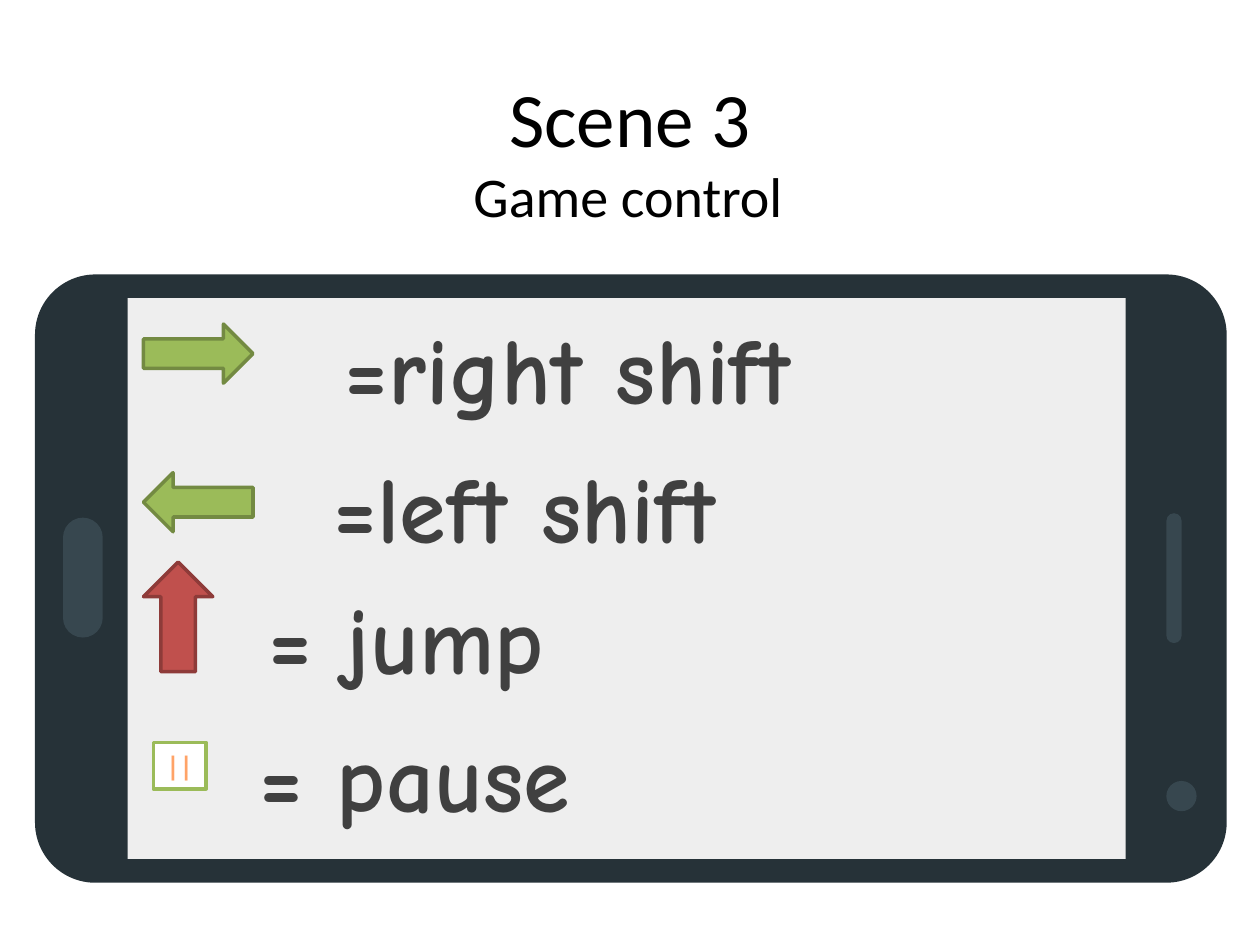
from pptx import Presentation
from pptx.dml.color import RGBColor
from pptx.enum.shapes import MSO_SHAPE
from pptx.enum.text import MSO_ANCHOR, PP_ALIGN
from pptx.util import Pt

RECTANGLE = MSO_SHAPE.RECTANGLE
ROUNDED = MSO_SHAPE.ROUNDED_RECTANGLE
OVAL = MSO_SHAPE.OVAL
RIGHT_ARROW = MSO_SHAPE.RIGHT_ARROW
LEFT_ARROW = MSO_SHAPE.LEFT_ARROW
UP_ARROW = MSO_SHAPE.UP_ARROW
LEFT, CENTER = PP_ALIGN.LEFT, PP_ALIGN.CENTER
TOP, MIDDLE = MSO_ANCHOR.TOP, MSO_ANCHOR.MIDDLE

BODY, BUTTON, SCREEN = "263238", "37474F", "EEEEEE"
GREEN, DARK_GREEN = "9BBB59", "738A42"
RED, DARK_RED = "C0504D", "8E3B39"
WHITE, BLACK, GREY, ORANGE = "FFFFFF", "000000", "404040", "FFA367"


def color(value):
    return RGBColor.from_string(value)


def add_block(shapes, kind, box, fill, line=None, radius=None):
    shape = shapes.add_shape(kind, *map(Pt, box))
    shape.shadow.inherit = False
    shape.fill.solid()
    shape.fill.fore_color.rgb = color(fill)
    if line:
        shape.line.color.rgb = color(line)
        shape.line.width = Pt(2)
    else:
        shape.line.fill.background()
    if radius is not None:
        shape.adjustments[0] = radius / min(box[2:])
    return shape


def write(shape, text, font_name, size, text_color, align=CENTER,
          anchor=TOP, bold=False, wrap=False):
    frame = shape.text_frame
    frame.word_wrap = wrap
    frame.vertical_anchor = anchor
    paragraph = frame.paragraphs[0]
    paragraph.text = text
    paragraph.alignment = align
    font = paragraph.font
    font.name, font.size, font.bold = font_name, Pt(size), bold
    font.color.rgb = color(text_color)


def add_heading(slide, box):
    left, top, width, height = box
    title = slide.shapes.add_textbox(*map(Pt, box))
    write(title, "Scene 3", "Calibri", 44, BLACK, anchor=MIDDLE, wrap=True)
    subtitle = slide.shapes.add_textbox(
        Pt(left + 227.5), Pt(top + 67), Pt(266.4), Pt(45.4))
    write(subtitle, "Game control", "Calibri", 32, BLACK, LEFT, wrap=True)


def add_phone(slide, box):
    """Draw a phone lying on its side, with its screen and buttons."""
    left, top, width, height = box
    shapes = slide.shapes.add_group_shape().shapes
    add_block(shapes, ROUNDED, box, BODY, radius=34.5)
    add_block(shapes, ROUNDED, (left + 16, top + 139, 22.7, 68.5), BUTTON,
              radius=11.35)
    add_block(shapes, OVAL, (left + 646.5, top + 289.5, 17.3, 17.3), BUTTON)
    add_block(shapes, ROUNDED, (left + 646.5, top + 136.5, 8.7, 74.2), BUTTON,
              radius=4.35)
    add_block(shapes, RECTANGLE,
              (left + 53, top + (height - 320.4) / 2, 570.2, 320.4), SCREEN)


def add_controls(slide, box):
    """Place each control's icon and its meaning on the phone screen."""
    left, top, width, height = box
    icons = [
        (UP_ARROW, (9, 150.8, 39.6, 62.6), RED, DARK_RED),
        (RIGHT_ARROW, (9, 14.8, 62.6, 33.8), GREEN, DARK_GREEN),
        (LEFT_ARROW, (9, 99.7, 62.6, 33.8), GREEN, DARK_GREEN),
        (RECTANGLE, (14.6, 253.8, 30.2, 26.6), WHITE, GREEN),
    ]
    for kind, (x, y, icon_width, icon_height), fill, line in icons:
        icon = add_block(slide.shapes, kind,
                         (left + x, top + y, icon_width, icon_height),
                         fill, line)
    write(icon, "||", "Calibri", 16, ORANGE, anchor=MIDDLE, bold=True)

    labels = [
        ("=right shift", 77.4, 3.2, 347.8),
        ("=left shift", 77.4, 82.4, 298.8),
        ("= jump", 48.6, 157.3, 221),
        ("= pause", 45.7, 236.5, 236.2),
    ]
    for text, x, y, label_width in labels:
        label = slide.shapes.add_textbox(
            Pt(left + x), Pt(top + y), Pt(label_width), Pt(72.7))
        write(label, text, "Comic Neue", 54, GREY, bold=True)


def main():
    presentation = Presentation()
    presentation.slide_width, presentation.slide_height = Pt(720), Pt(540)
    slide = presentation.slides.add_slide(presentation.slide_layouts[6])
    add_heading(slide, (36, 21.6, 648, 90))
    add_phone(slide, (20, 156.8, 681, 347.6))
    add_controls(slide, (73, 170.4, 570.2, 320.4))
    presentation.save("out.pptx")


if __name__ == "__main__":
    main()
